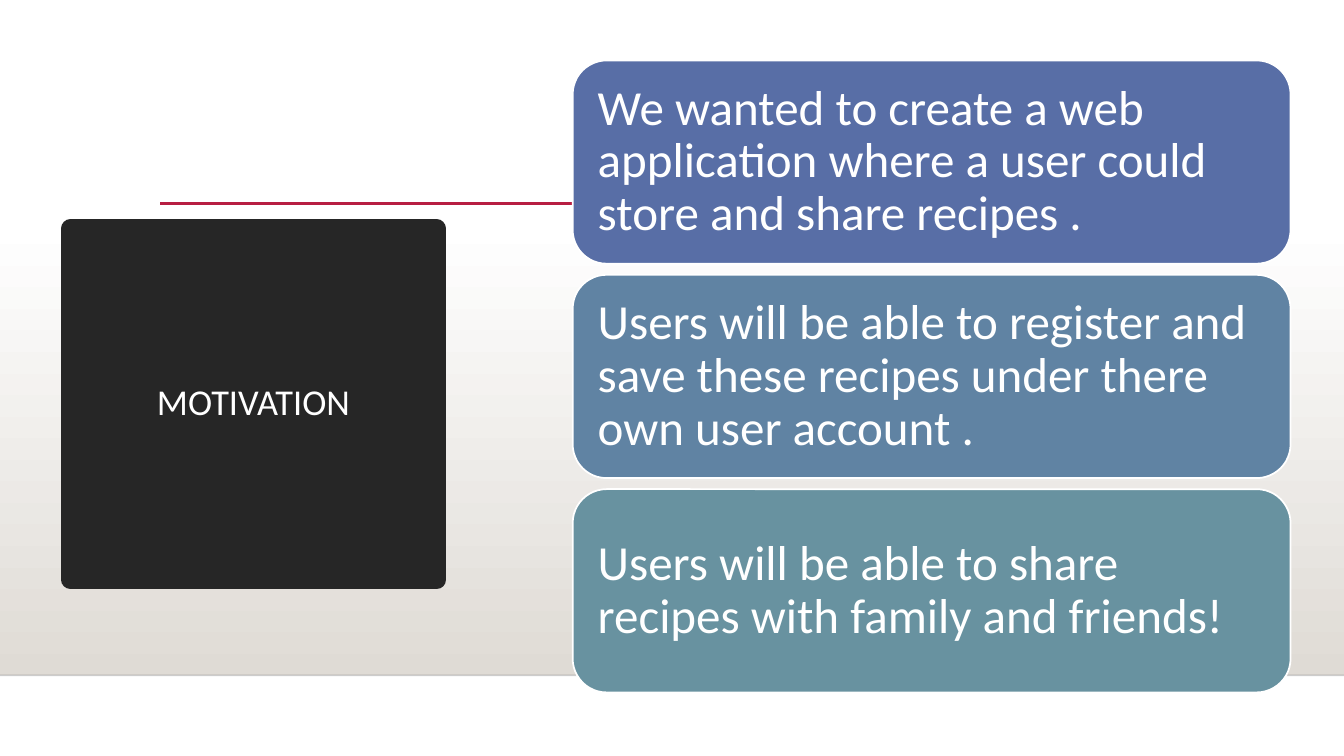
from lxml.etree import SubElement as sub
from pptx import Presentation
from pptx.dml.color import RGBColor as RGB
from pptx.enum.shapes import MSO_CONNECTOR as CONN, MSO_SHAPE as SHAPE
from pptx.enum.text import MSO_ANCHOR as ANCHOR, PP_ALIGN as ALIGN
from pptx.oxml.ns import qn
from pptx.util import Inches as Inch, Pt

WIDE, HIGH = 13.33, 7.5
FONT = "Calibri"
HEX = {
    "white": "FFFFFF", "sand": "DFDBD5", "black": "000001",
    "red": "B71E42", "dark": "262626",
}
CARDS = [
    ("586EA6", "We wanted to create a web application where a user could "
               "store and share recipes ."),
    ("6083A3", "Users will be able to register and save these recipes under "
               "there own user account ."),
    ("6892A0", "Users will be able to share recipes with family and friends!"),
]


def tint(code):
    return RGB.from_string(HEX.get(code, code))


def paint(shape, fill, line, width):
    shape.fill.solid()
    shape.fill.fore_color.rgb = tint(fill)
    shape.line.color.rgb = tint(line)
    shape.line.width = Pt(width)


def write(shape, text, size, align, inset):
    frame = shape.text_frame
    frame.text = text
    frame.word_wrap = True
    frame.vertical_anchor = ANCHOR.MIDDLE
    frame.margin_left = frame.margin_right = Inch(inset)
    frame.margin_top = frame.margin_bottom = Inch(inset)
    para = frame.paragraphs[0]
    para.alignment = align
    para.line_spacing = 0.9
    font = para.runs[0].font
    font.name, font.size = FONT, Pt(size)
    font.color.rgb = tint("white")


def rule(slide, left, right, y, color, width):
    line = slide.shapes.add_connector(
        CONN.STRAIGHT, Inch(left), Inch(y), Inch(right), Inch(y))
    line.line.color.rgb = tint(color)
    line.line.width = Pt(width)
    sub(line._element.spPr, qn("a:effectLst"))
    return line


def floor(slide, left, top, width, height):
    """Shaded band with a faint edge along its foot."""
    band = slide.shapes.add_shape(
        SHAPE.RECTANGLE, Inch(left), Inch(top), Inch(width), Inch(height))
    band.shadow.inherit = False
    band.line.fill.background()
    band.fill.gradient()
    band.fill.gradient_angle = 270
    for stop, name in zip(band.fill.gradient_stops, ("white", "sand")):
        stop.color.rgb = tint(name)
    edge = rule(slide, left, left + width, top + height, "black", 1)
    color = next(edge._element.iter(qn("a:srgbClr")))
    sub(color, qn("a:alpha"), val="20000")


def heading(slide, left, top, width, height):
    """Dark title block, raised above the band."""
    title = slide.shapes.title
    title.left, title.top = Inch(left), Inch(top)
    title.width, title.height = Inch(width), Inch(height)
    paint(title, "dark", "dark", 13.75)
    write(title, "MOTIVATION", 26, ALIGN.CENTER, 0.1)
    slide.shapes._spTree.append(title._element)


def stack(slide, left, top, width, height, gap=0.11):
    """Equal cards, one under the other."""
    tall = (height - gap * (len(CARDS) - 1)) / len(CARDS)
    for row, (fill, text) in enumerate(CARDS):
        card = slide.shapes.add_shape(
            SHAPE.ROUNDED_RECTANGLE, Inch(left),
            Inch(top + row * (tall + gap)), Inch(width), Inch(tall))
        card.shadow.inherit = False
        paint(card, fill, "white", 1.25)
        # The preset adds its own corner inset of about 0.1
        write(card, text, 35, ALIGN.LEFT, 0.15)


def main():
    deck = Presentation()
    deck.slide_width, deck.slide_height = Inch(WIDE), Inch(HIGH)
    slide = deck.slides.add_slide(deck.slide_layouts[5])
    floor(slide, 0, 2.21, WIDE, 4.49)
    rule(slide, 1.59, 12.09, 2.02, "red", 2.5)
    heading(slide, 0.7, 2.27, 3.63, 3.48)
    stack(slide, 5.68, 0.6, 7.12, 6.27)
    deck.save("out.pptx")


if __name__ == "__main__":
    main()
